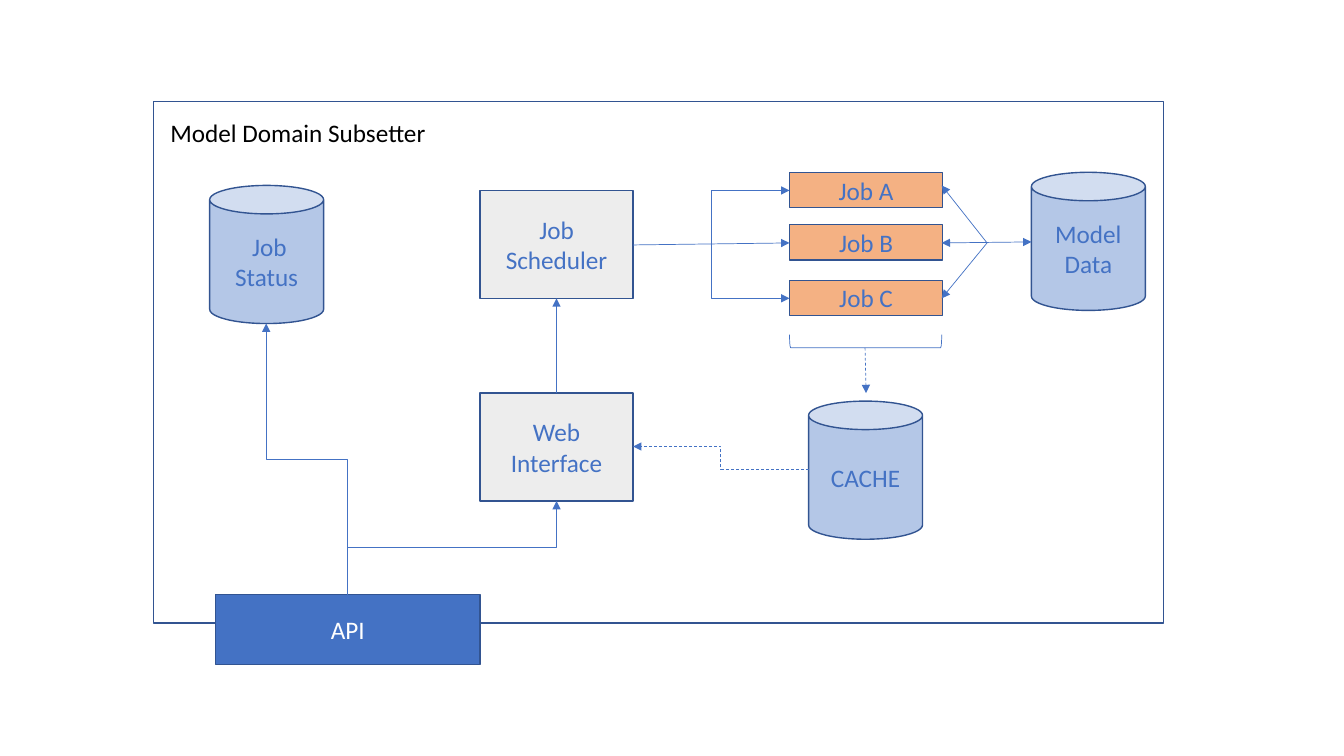
from lxml import etree
from pptx import Presentation
from pptx.dml.color import RGBColor
from pptx.enum.dml import MSO_LINE
from pptx.enum.shapes import MSO_CONNECTOR, MSO_SHAPE
from pptx.enum.text import MSO_ANCHOR, MSO_AUTO_SIZE, PP_ALIGN
from pptx.oxml.ns import qn
from pptx.util import Inches, Pt

RECTANGLE, CAN, BRACKET = MSO_SHAPE.RECTANGLE, MSO_SHAPE.CAN, MSO_SHAPE.RIGHT_BRACKET
STRAIGHT, ELBOW = MSO_CONNECTOR.STRAIGHT, MSO_CONNECTOR.ELBOW
DASH = MSO_LINE.DASH
MIDDLE, TOP = MSO_ANCHOR.MIDDLE, MSO_ANCHOR.TOP
CENTER, LEFT = PP_ALIGN.CENTER, PP_ALIGN.LEFT
BLACK = RGBColor(0x00, 0x00, 0x00)
WHITE = RGBColor(0xFF, 0xFF, 0xFF)
BLUE = RGBColor(0x44, 0x72, 0xC4)
NAVY = RGBColor(0x32, 0x54, 0x91)
PALE_BLUE = RGBColor(0xB4, 0xC7, 0xE7)
GRAY = RGBColor(0xED, 0xED, 0xED)
ORANGE = RGBColor(0xF4, 0xB1, 0x83)

presentation = Presentation()
presentation.slide_width = Inches(13.33)
presentation.slide_height = Inches(7.5)
slide = presentation.slides.add_slide(presentation.slide_layouts[5])


def write_text(shape, text, color, alignment, anchor):
    frame = shape.text_frame
    frame.text = text
    frame.vertical_anchor = anchor
    paragraph = frame.paragraphs[0]
    paragraph.alignment = alignment
    font_format = {"name": "Calibri", "size": Pt(18), "bold": False}
    for name, value in font_format.items():
        setattr(paragraph.font, name, value)
    paragraph.font.color.rgb = color


def connect(kind, begin, end, ends=("tailEnd",), dash=None, bend=None):
    points = [Inches(value) for value in (*begin, *end)]
    connector = slide.shapes.add_connector(kind, *points)
    connector.line.color.rgb = BLUE
    connector.line.width = Pt(0.5)
    if dash:
        connector.line.dash_style = dash
    properties = connector._element.spPr
    line = properties.find(qn("a:ln"))
    for arrow_end in ends:
        etree.SubElement(line, qn("a:" + arrow_end), type="triangle")
    etree.SubElement(properties, qn("a:effectLst"))
    if bend is not None:
        guides = properties.find(qn("a:prstGeom")).get_or_add_avLst()
        etree.SubElement(guides, qn("a:gd"), name="adj1", fmla=f"val {round(bend * 100000)}")
    return connector


title = slide.shapes.title
title_format = {"left": 1.59, "top": 1.11, "width": 2.77, "height": 0.4}
for name, value in title_format.items():
    setattr(title, name, Inches(value))
write_text(title, "Model Domain Subsetter", BLACK, LEFT, TOP)
title.text_frame.word_wrap = False
title.text_frame.auto_size = MSO_AUTO_SIZE.NONE

components = [
    (RECTANGLE, 1.52, 1.01, 10.02, 5.17, None, "", BLUE),
    (CAN, 2.08, 1.84, 1.13, 1.37, PALE_BLUE, " Job Status", BLUE),
    (CAN, 10.23, 1.71, 1.13, 1.37, PALE_BLUE, "Model Data", BLUE),
    (CAN, 8.02, 3.98, 1.13, 1.37, PALE_BLUE, "CACHE", BLUE),
    (RECTANGLE, 2.14, 5.9, 2.62, 0.69, BLUE, "API", WHITE),
    (RECTANGLE, 4.76, 3.9, 1.52, 1.07, GRAY, "Web Interface", BLUE),
    (RECTANGLE, 4.76, 1.89, 1.52, 1.07, GRAY, "Job Scheduler", BLUE),
    (RECTANGLE, 7.83, 1.71, 1.52, 0.35, ORANGE, "Job A", BLUE),
    (RECTANGLE, 7.83, 2.23, 1.52, 0.35, ORANGE, "Job B", BLUE),
    (RECTANGLE, 7.83, 2.78, 1.52, 0.35, ORANGE, "Job C", BLUE),
    (BRACKET, 8.52, 2.63, 0.13, 1.51, None, "", BLUE),
]
for kind, left, top, width, height, fill, text, text_color in components:
    box = [Inches(value) for value in (left, top, width, height)]
    shape = slide.shapes.add_shape(kind, *box)
    shape.shadow.inherit = False
    shape.line.color.rgb = NAVY
    shape.line.width = Pt(1)
    if fill is None:
        shape.fill.background()
    else:
        shape.fill.solid()
        shape.fill.fore_color.rgb = fill
    if text:
        write_text(shape, text, text_color, CENTER, MIDDLE)
    if kind == BRACKET:
        shape.rotation = 90
        shape.line.color.rgb = BLUE
        shape.line.width = Pt(0.5)

api_x, api_y = 3.45, 5.9
for target_x, target_y in [(5.52, 4.97), (2.64, 3.21)]:
    center_x, center_y = (api_x + target_x) / 2, (api_y + target_y) / 2
    half_rise, half_run = (api_y - target_y) / 2, (target_x - api_x) / 2
    connector = connect(
        ELBOW,
        (center_x - half_rise, center_y - half_run),
        (center_x + half_rise, center_y + half_run),
        bend=0.5,
    )
    connector._element.spPr.find(qn("a:xfrm")).set("rot", str(270 * 60000))

connect(STRAIGHT, (5.52, 3.9), (5.52, 2.96))
connect(STRAIGHT, (6.28, 2.43), (7.83, 2.41))
connect(STRAIGHT, (10.23, 2.4), (9.34, 2.41), ends=("headEnd", "tailEnd"))
for job_y in (1.89, 2.96):
    connect(ELBOW, (7.05, 2.43), (7.83, job_y), bend=0.01)
for job_y in (1.84, 2.96):
    connect(STRAIGHT, (9.79, 2.41), (9.34, job_y))
connect(STRAIGHT, (8.58, 3.45), (8.59, 3.9), dash=DASH)
connect(ELBOW, (8.02, 4.66), (6.28, 4.43), dash=DASH, bend=0.5)

presentation.save("out.pptx")
